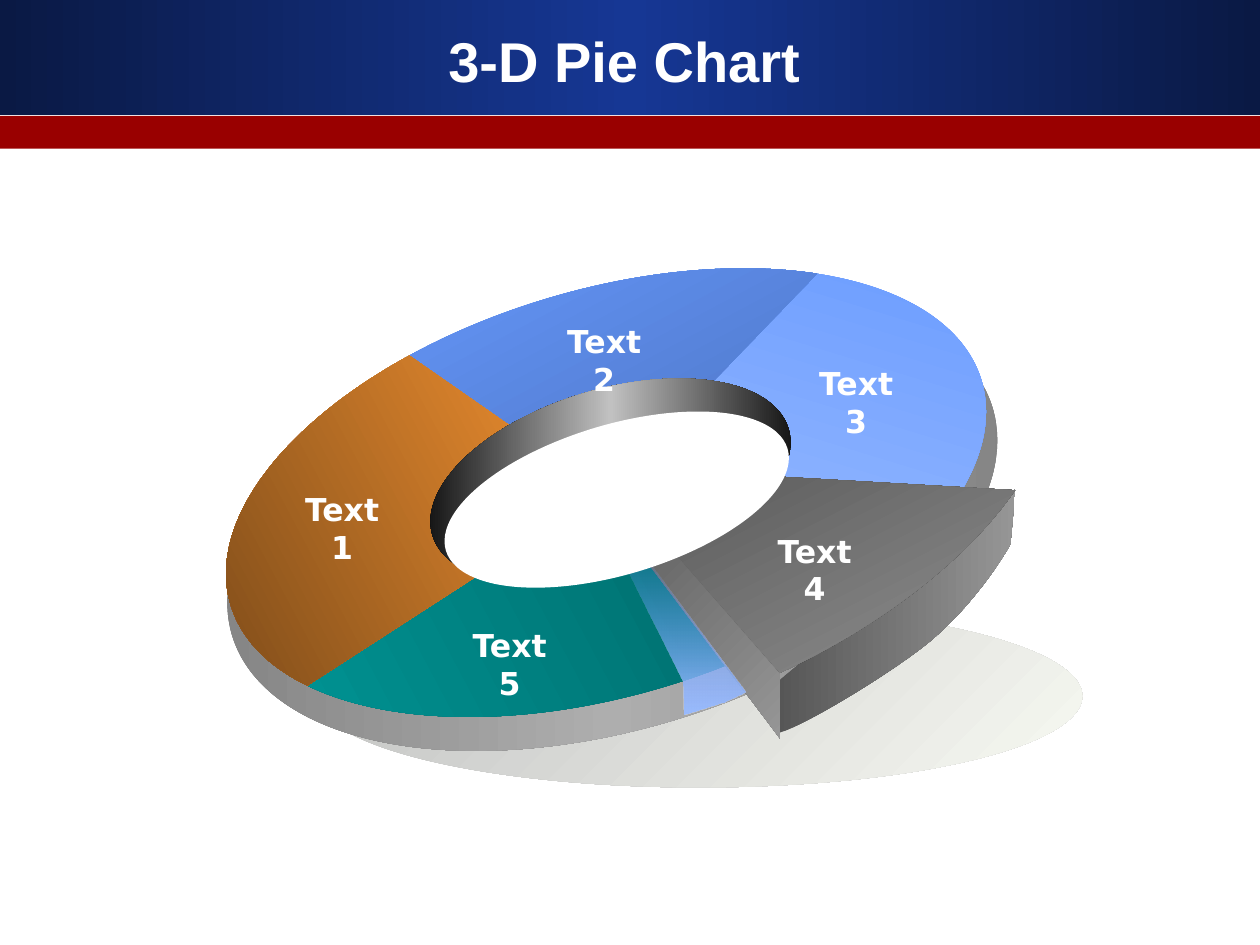
from math import ceil, cos, floor, radians, sin, tan
from lxml.etree import SubElement
from pptx import Presentation
from pptx.dml.color import RGBColor
from pptx.enum.shapes import MSO_SHAPE
from pptx.enum.text import MSO_ANCHOR, PP_ALIGN
from pptx.oxml import parse_xml
from pptx.oxml.ns import nsdecls, qn
from pptx.util import Inches, Pt

TILT = 343.4
RING = {"center": (4.81, 3.91), "radii": (3.11, 1.61), "tilt": TILT}
PULLED_OUT = {"center": (4.74, 3.7), "radii": (3.8, 2.06), "tilt": 342.3}

BANDS = [
    ((0, 0, 10, 0.91), ([(0, "0A1944"), (50, "163794"), (100, "0A1944")], 0)),
    ((0, 0.92, 10, 0.26), "990000"),
]
FLOOR_SHADOW = ((2.51, 4.8, 6.08, 1.45), 0, ([(0, "C0C0C0"), (100, "F7F9F2")], 45))
RING_SIDE = ((1.71, 2.49, 6.3, 3.3), TILT,
             ([(0, "808080"), (50, "AEAEAE"), (100, "808080")], 0))
RING_BASE = ((1.77, 2.31, 6.08, 3.2), TILT, ([(0, "2791BB"), (100, "000000")], 62))
HOLE_WALL = ((3.37, 3.09, 2.95, 1.47), TILT,
             ([(0, "000000"), (50, "C1C1C1"), (100, "000000")], 0))
HOLE_FLOOR = ((3.48, 3.37, 2.83, 1.19), TILT, "FFFFFF")

RING_WEDGES = [
    (-52.9, 32.5, ([(0, "6699FF"), (100, "9EBEFF")], 107)),
    (80, 168.7, ([(0, "006B6B"), (100, "009999")], 152)),
    (-117, -47.5, ([(0, "6699FF"), (100, "4A6FB9")], 62)),
    (150.6, 247.6, ([(0, "FF9933"), (100, "764718")], 152)),
]
PULLED_WEDGE = (35.3, 76.6, ([(0, "454545"), (100, "969696")], 63))

OUTER_WALL = ([(6.16, 5.42), (8.06, 3.88), (8.02, 4.32),
               (7.9, 4.53, 7.67, 4.85, 7.37, 5.1),
               (7.06, 5.35, 6.37, 5.77, 6.17, 5.82),
               (6.14, 5.68, 6.16, 5.42, 6.16, 5.42)],
              ([(0, "565656"), (100, "969696")], 0))
CUT_WALL = ([(6.19, 5.35), (6.19, 5.86), (5.06, 4.36), (5.23, 4.25)],
            ([(0, "646464"), (100, "969696")], 45))
GLASS_WALL = ([(4.97, 4.51), (5.42, 5.4), (5.43, 5.67), (5.75, 5.57), (5.92, 5.49),
               (5.17, 4.49)], ([(0, "6699FF", 19), (100, "99BBFF")], 90))

LABELS = [("Text1", 2.27, 3.84), ("Text2", 4.35, 2.51), ("Text3", 6.35, 2.84),
          ("Text4", 6.02, 4.17), ("Text5", 3.6, 4.92)]
TITLE = "3-D Pie Chart"
TITLE_FONT = {"name": "Arial", "size": Pt(32), "bold": True}
LABEL_FONT = {"name": "DejaVu Sans", "size": Pt(18), "bold": True}
FRAME = {"margin_left": Inches(0.1), "margin_right": Inches(0.1),
         "margin_top": Inches(0.05), "margin_bottom": Inches(0.05), "word_wrap": True}


def color(value):
    return RGBColor.from_string(value)


def paint(shape, fill):
    shape.shadow.inherit = False
    shape.line.fill.background()
    shape.fill.solid()
    if isinstance(fill, str):
        shape.fill.fore_color.rgb = color(fill)
        return
    stops, angle = fill
    gradient = parse_xml(f'<a:gradFill {nsdecls("a")} rotWithShape="0"><a:gsLst/>'
                         f'<a:lin ang="{angle * 60000}" scaled="0"/></a:gradFill>')
    for position, value, *alpha in stops:
        stop = SubElement(gradient[0], qn("a:gs"), pos=str(position * 1000))
        stop_color = SubElement(stop, qn("a:srgbClr"), val=value)
        for percent in alpha:
            SubElement(stop_color, qn("a:alpha"), val=str(percent * 1000))
    properties = shape._element.spPr
    properties.replace(properties.find(qn("a:solidFill")), gradient)


def add_preset(slide, kind, box, rotation, fill):
    shape = slide.shapes.add_shape(kind, *map(Inches, box))
    shape.rotation = rotation
    paint(shape, fill)


def add_outline(slide, steps, fill):
    corners = [(Inches(step[-2]), Inches(step[-1])) for step in steps]
    builder = slide.shapes.build_freeform(*corners[0], scale=1.0)
    builder.add_line_segments(corners[1:], close=True)
    shape = builder.convert_to_shape()
    lines = list(shape._element.iter(qn("a:lnTo")))
    for line, step in zip(lines, steps[1:]):
        if len(step) == 6:
            curve = parse_xml(f'<a:cubicBezTo {nsdecls("a")}/>')
            for x, y in zip(step[::2], step[1::2]):
                SubElement(curve, qn("a:pt"), x=str(Inches(x) - shape.left),
                           y=str(Inches(y) - shape.top))
            line.getparent().replace(line, curve)
    paint(shape, fill)
    return shape


def add_wedge(slide, ellipse, start, end, fill):
    (center_x, center_y), (radius_x, radius_y) = ellipse["center"], ellipse["radii"]

    def arc_point(angle, pull=0):
        return (center_x + radius_x * (cos(angle) - pull * sin(angle)),
                center_y + radius_y * (sin(angle) + pull * cos(angle)))

    quarters = [90 * turn for turn in range(floor(start / 90) + 1, ceil(end / 90))]
    angles = [radians(angle) for angle in (start, *quarters, end)]
    steps = [(center_x, center_y), arc_point(angles[0])]
    for first, last in zip(angles, angles[1:]):
        pull = 4 / 3 * tan((last - first) / 4)
        steps.append(arc_point(first, pull) + arc_point(last, -pull) + arc_point(last))
    shape = add_outline(slide, steps, fill)
    tilt = radians(ellipse["tilt"])
    offset_x = shape.left + shape.width / 2 - Inches(center_x)
    offset_y = shape.top + shape.height / 2 - Inches(center_y)
    shape.left += round(offset_x * cos(tilt) - offset_y * sin(tilt) - offset_x)
    shape.top += round(offset_x * sin(tilt) + offset_y * cos(tilt) - offset_y)
    shape.rotation = ellipse["tilt"]


def write(shape, text, font, anchor):
    frame = shape.text_frame
    for name, value in FRAME.items():
        setattr(frame, name, value)
    frame.vertical_anchor = anchor
    paragraph = frame.paragraphs[0]
    paragraph.alignment = PP_ALIGN.CENTER
    run = paragraph.add_run()
    run.text = text
    for name, value in font.items():
        setattr(run.font, name, value)
    run.font.color.rgb = color("FFFFFF")


def main():
    presentation = Presentation()
    presentation.slide_width, presentation.slide_height = Inches(10), Inches(7.5)
    slide = presentation.slides.add_slide(presentation.slide_layouts[5])

    for box, fill in BANDS:
        add_preset(slide, MSO_SHAPE.RECTANGLE, box, 0, fill)
    for ellipse in (FLOOR_SHADOW, RING_SIDE, RING_BASE):
        add_preset(slide, MSO_SHAPE.OVAL, *ellipse)
    for wedge in RING_WEDGES:
        add_wedge(slide, RING, *wedge)
    add_outline(slide, *OUTER_WALL)
    add_wedge(slide, PULLED_OUT, *PULLED_WEDGE)
    add_outline(slide, *CUT_WALL)
    add_preset(slide, MSO_SHAPE.OVAL, *HOLE_WALL)
    for text, left, top in LABELS:
        label = slide.shapes.add_textbox(*map(Inches, (left, top, 0.89, 0.4)))
        write(label, text, LABEL_FONT, MSO_ANCHOR.TOP)
    add_outline(slide, *GLASS_WALL)
    add_preset(slide, MSO_SHAPE.OVAL, *HOLE_FLOOR)

    title = slide.shapes.title
    title.left, title.top, title.width, title.height = map(Inches, (0.33, 0.17, 9.25, 0.62))
    write(title, TITLE, TITLE_FONT, MSO_ANCHOR.MIDDLE)
    title._element.getparent().append(title._element)
    presentation.save("out.pptx")


if __name__ == "__main__":
    main()
